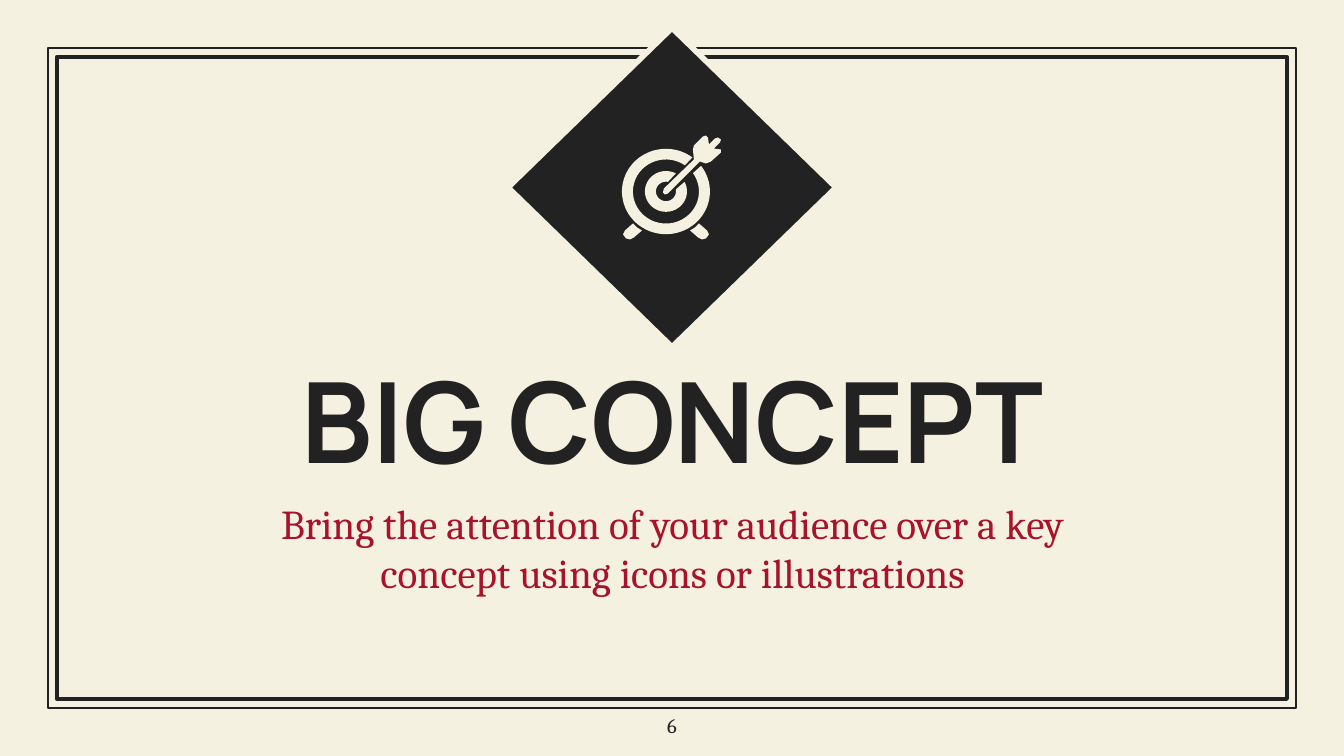
from math import cos, radians, sin

from pptx import Presentation
from pptx.dml.color import RGBColor
from pptx.enum.shapes import MSO_SHAPE
from pptx.enum.text import MSO_ANCHOR, MSO_AUTO_SIZE, PP_ALIGN
from pptx.util import Emu, Pt

RECT, DIAMOND = MSO_SHAPE.RECTANGLE, MSO_SHAPE.DIAMOND
TOP, MIDDLE = MSO_ANCHOR.TOP, MSO_ANCHOR.MIDDLE
CENTER = PP_ALIGN.CENTER
NO_FIT = MSO_AUTO_SIZE.NONE
INK, CREAM, RED = "222222", "F5F1E0", "A8122A"
EMU_PER_PX = 914400 / 134.4

FOOT = [(-33, 32), (-41, 39), (-43, 43), (-40, 47), (-36, 48),
        (-32, 46), (-24, 39), (-29, 36)]
ARROW = [(40, -56), (37, -55), (28, -46), (27, -42), (28, -32), (-2, -3),
         (-3, 1), (-1, 3), (2, 2), (34, -30), (40, -28), (45, -30),
         (55, -39), (55, -42), (48, -43), (54, -49), (55, -52), (52, -54),
         (49, -53), (43, -47), (42, -54)]


def px(n):
    return Emu(round(n * EMU_PER_PX))


def rgb(color):
    return RGBColor.from_string(color)


def paint(sp, fill=None, line=None, width=0):
    sp.shadow.inherit = False
    if fill:
        sp.fill.solid()
        sp.fill.fore_color.rgb = rgb(fill)
    else:
        sp.fill.background()
    if line:
        sp.line.color.rgb = rgb(line)
        sp.line.width = Pt(width)
    else:
        sp.line.fill.background()


def write(sp, text, size, font, color, bold=False, anchor=TOP, before=0):
    tf = sp.text_frame
    frame = {"word_wrap": True, "auto_size": NO_FIT, "vertical_anchor": anchor}
    frame.update({f"margin_{side}": px(13) for side in ("left", "top", "right", "bottom")})
    p = tf.paragraphs[0]
    r = p.add_run()
    r.text = text
    formats = [
        (tf, frame),
        (p, {"alignment": CENTER, "space_before": Pt(before)}),
        (r.font, {"name": font, "size": Pt(size), "bold": bold}),
    ]
    for target, values in formats:
        for name, value in values.items():
            setattr(target, name, value)
    r.font.color.rgb = rgb(color)


def add_frame(s, x, y, w, h):
    for inset, width in ((0, 0.75), (9, 2.25)):
        box = (x + inset, y + inset, w - 2 * inset, h - 2 * inset)
        sp = s.shapes.add_shape(RECT, *map(px, box))
        paint(sp, line=INK, width=width)


def arc(radius, half_gap):
    start, sweep = half_gap - 45, 360 - 2 * half_gap
    angles = [radians(start + sweep * i / 72) for i in range(73)]
    return [(radius * cos(a), 0.97 * radius * sin(a)) for a in angles]


def ring(outer, inner, outer_gap, inner_gap):
    return arc(outer, outer_gap) + arc(inner, inner_gap)[::-1]


def add_target(s, cx, cy):
    group = s.shapes.add_group_shape()
    outlines = [
        ring(44, 33, 8, 10),
        ring(21, 10, 17, 34),
        FOOT,
        [(-x, y) for x, y in FOOT],
        ARROW,
    ]
    for outline in outlines:
        points = [(px(cx + x), px(cy + y)) for x, y in outline]
        builder = group.shapes.build_freeform(*points[0], scale=1.0)
        builder.add_line_segments(points[1:], close=True)
        paint(builder.convert_to_shape(), fill=CREAM)


def add_emblem(s, x, y, w, h):
    sp = s.shapes.add_shape(DIAMOND, *map(px, (x, y, w, h)))
    paint(sp, fill=INK, line=CREAM, width=3)
    add_target(s, x + w / 2 - 6, y + h / 2 + 4)


def add_heading(s, x, y, w, h):
    title = s.shapes.title
    title.left, title.top, title.width, title.height = map(px, (x, y, w, 171))
    write(title, "BIG CONCEPT", 60, "Manrope", INK, bold=True, anchor=MIDDLE)
    sp = s.shapes.add_textbox(*map(px, (x, y + 152, w, h - 152)))
    write(sp, "Bring the attention of your audience over a key concept "
          "using icons or illustrations", 22, "Cambria", RED, before=6)


def add_number(s, x, y, w, h):
    sp = s.shapes.add_textbox(*map(px, (x, y, w, h)))
    write(sp, "6", 11, "Cambria", INK)


def main():
    prs = Presentation()
    prs.slide_width, prs.slide_height = px(1344), px(756)
    s = prs.slides.add_slide(prs.slide_layouts[5])
    s.background.fill.solid()
    s.background.fill.fore_color.rgb = rgb(CREAM)
    add_frame(s, 48, 48, 1248, 660)
    add_heading(s, 212, 333, 921, 268)
    add_emblem(s, 508, 28, 328, 319)
    add_number(s, 632, 700, 80, 45)
    prs.save("out.pptx")


if __name__ == "__main__":
    main()
